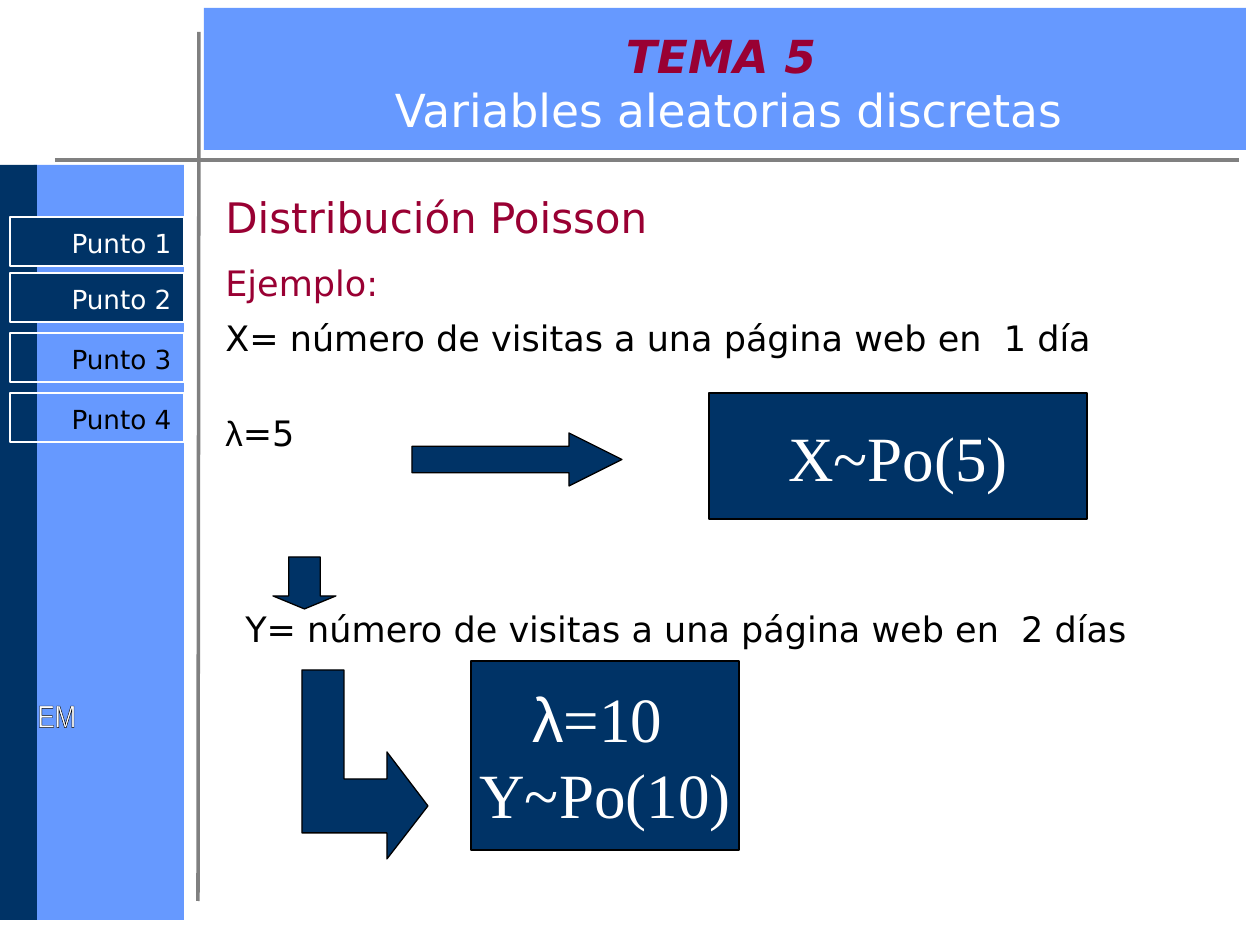
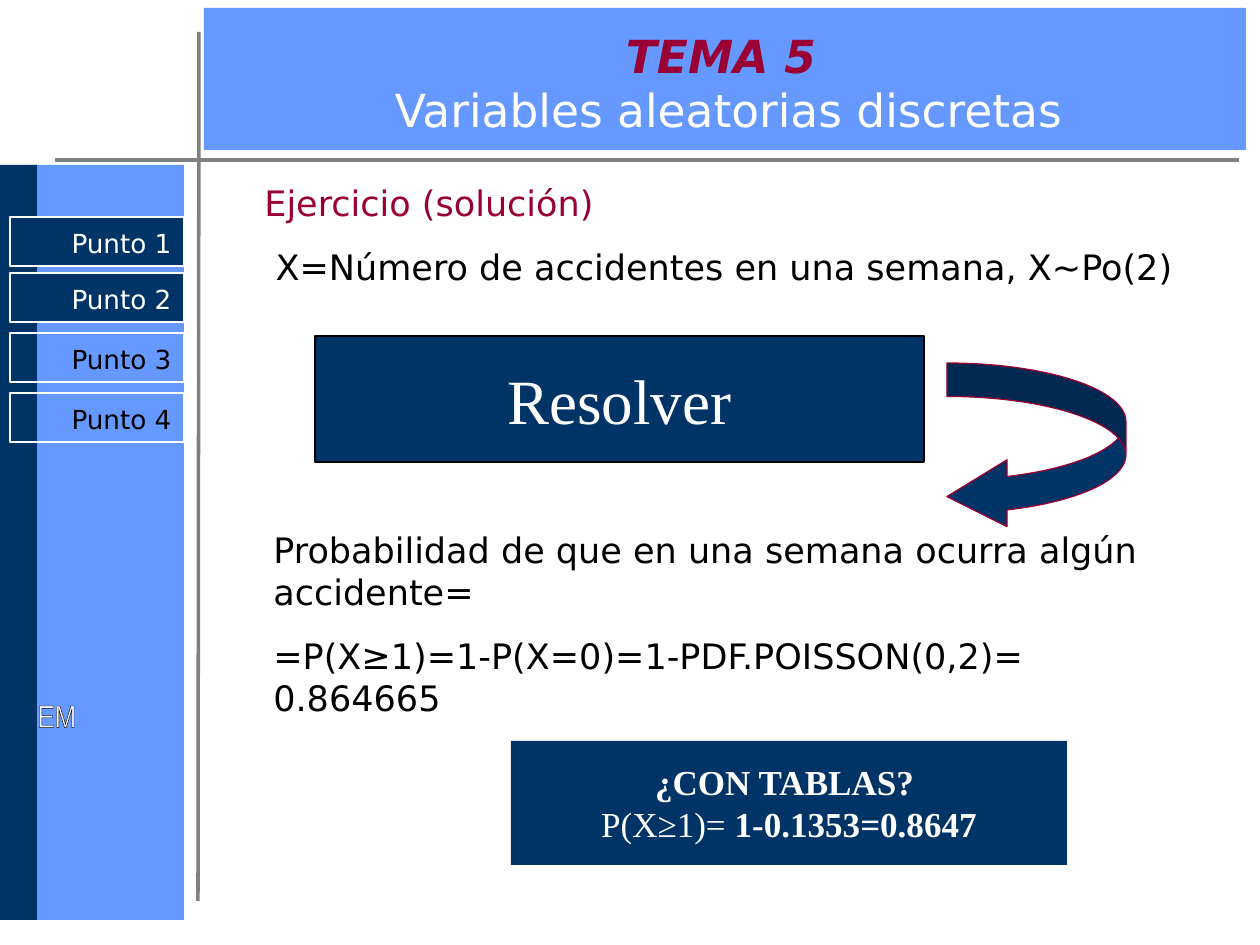
"""Build two slides on the Poisson distribution that share one frame."""
from lxml import etree
from pptx import Presentation
from pptx import util as u
from pptx.dml import color
from pptx.enum import shapes, text
from pptx.oxml import ns

PX = 914400 / 126
NAVY, SKY, WINE, GRAY = "003366", "6699FF", "990033", "808080"
WHITE, BLACK = "FFFFFF", "000000"
SANS, SERIF, GREEK = "DejaVu Sans", "Times New Roman", "Arial"
KIND = shapes.MSO_SHAPE
LEFT, MID, RIGHT = text.PP_ALIGN.LEFT, text.PP_ALIGN.CENTER, text.PP_ALIGN.RIGHT
TOP, CORE = text.MSO_ANCHOR.TOP, text.MSO_ANCHOR.MIDDLE


def style(name, size, ink, **more):
    return dict(name=name, size=u.Pt(size), ink=ink, **more)


BODY = style(SANS, 20, BLACK)
LEAD = style(SANS, 20, WINE)
HEAD = style(SANS, 24, WINE)
BIG = style(SERIF, 36, WHITE)
NOTE = style(SERIF, 20, WHITE)
BOLD = dict(NOTE, bold=True)
THEME = style(SANS, 26, WINE, bold=True, italic=True)
TITLE = style(SANS, 26, WHITE)
MARK = style("Arial Narrow", 18, WHITE)

BANDS = [((34, 165, 150, 755), SKY), ((0, 165, 37, 755), NAVY),
         ((204, 8, 1042, 142), SKY)]
RULES = [(55, 160, 1239, 160), (198, 901, 199, 32)]
MENU = [("Punto 1", 217, NAVY, WHITE), ("Punto 2", 273, NAVY, WHITE),
        ("Punto 3", 333, None, BLACK), ("Punto 4", 393, None, BLACK)]
NAME = [[("TEMA 5 ", THEME)], [("Variables aleatorias discretas", TITLE)]]

DECK = [
    dict(
        texts=[
            ((213, 185, 882, 63), [[("Distribución Poisson", HEAD)]], {}),
            ((213, 255, 993, 200), [
                [("Ejemplo:", LEAD)],
                [("X= número de visitas a una página web en  1 día", BODY)],
                [("λ", dict(BODY, name=GREEK)), ("=5", BODY)],
            ], {1: dict(line_spacing=0.8), 2: dict(space_before=u.Pt(30))}),
            ((233, 601, 984, 55),
             [[("Y= número de visitas a una página web en  2 días", BODY)]], {}),
        ],
        boxes=[
            ((709, 393, 378, 126), BLACK, [[("X~Po(5)", BIG)]]),
            ((471, 661, 268, 189), BLACK,
             [[("λ", dict(BIG, name=GREEK)), ("=10 ", BIG)], [("Y~Po(10)", BIG)]]),
        ],
        arrows=[
            (KIND.RIGHT_ARROW, (412, 433, 210, 53), BLACK, (0.5, 1)),
            (KIND.DOWN_ARROW, (273, 557, 63, 52), BLACK, (0.5, 0.25)),
        ],
        bends=[[(428, 806), (387, 752), (387, 779), (344, 779), (344, 670),
                (302, 670), (302, 833), (387, 833), (387, 859)]],
    ),
    dict(
        texts=[
            ((252, 175, 954, 183), [
                [("Ejercicio (solución)", LEAD)],
                [(" X=Número de accidentes en una semana, X~Po(2)", BODY)],
            ], {}),
            ((261, 522, 945, 314), [
                [("Probabilidad de que en una semana ocurra algún accidente=", BODY)],
                [("=P(X≥1)=1-P(X=0)=1-PDF.POISSON(0,2)= 0.864665", BODY)],
            ], {}),
        ],
        boxes=[
            ((315, 336, 609, 126), BLACK, [[("Resolver", BIG)]]),
            ((511, 741, 556, 124), None,
             [[("¿CON TABLAS? ", BOLD)],
              [("P(X≥1)= ", NOTE), ("1-0.1353=0.8647", BOLD)]]),
        ],
        arrows=[(KIND.CURVED_LEFT_ARROW, (947, 363, 179, 167), WINE,
                 (0.2, 0.4, 0.36))],
        bends=[],
    ),
]


def emu(*nums):
    return [u.Emu(round(n * PX)) for n in nums]


def rgb(code):
    return color.RGBColor.from_string(code)


def paint(shape, fill, line):
    shape.shadow.inherit = False
    for part, code in ((shape.fill, fill), (shape.line.fill, line)):
        if code:
            part.solid()
            part.fore_color.rgb = rgb(code)
        else:
            part.background()
    if line:
        shape.line.width = u.Pt(0.75)
    return shape


def draw(slide, kind, box, fill, line=None, adjust=()):
    shape = slide.shapes.add_shape(kind, *emu(*box))
    for i, val in enumerate(adjust):
        shape.adjustments[i] = val
    return paint(shape, fill, line)


def write(shape, paras, align=LEFT, anchor=TOP, wrap=True, gap=0, extra={}):
    frame = shape.text_frame
    frame.word_wrap, frame.vertical_anchor = wrap, anchor
    for i, runs in enumerate(paras):
        para = frame.add_paragraph() if i else frame.paragraphs[0]
        form = dict(alignment=align, space_before=u.Pt(gap))
        for key, val in {**form, **extra.get(i, {})}.items():
            setattr(para, key, val)
        for words, look in runs:
            run = para.add_run()
            run.text = words
            for key, val in look.items():
                if key == "ink":
                    run.font.color.rgb = rgb(val)
                else:
                    setattr(run.font, key, val)
    return frame


def label(slide, box, paras, **form):
    return write(slide.shapes.add_textbox(*emu(*box)), paras, **form)


def rule(slide, ends):
    line = slide.shapes.add_connector(shapes.MSO_CONNECTOR.STRAIGHT, *emu(*ends))
    line.line.color.rgb = rgb(GRAY)
    line.line.width = u.Pt(2)
    etree.SubElement(line._element.spPr, ns.qn("a:effectLst"))


def outline(run):
    line = etree.Element(ns.qn("a:ln"), w="9525")
    fill = etree.SubElement(line, ns.qn("a:solidFill"))
    etree.SubElement(fill, ns.qn("a:srgbClr"), val=BLACK)
    run.font._element.insert(0, line)


def base(slide):
    for box, fill in BANDS:
        draw(slide, KIND.RECTANGLE, box, fill)
    for ends in RULES:
        rule(slide, ends)
    for words, top, fill, ink in MENU:
        item = draw(slide, KIND.RECTANGLE, (10, top, 174, 49), fill, WHITE)
        frame = write(item, [[(words, style(SANS, 15, ink))]], align=RIGHT)
        frame.margin_top = emu(10)[0]
    mark = label(slide, (25, 690, 231, 229), [[("EM", MARK)]], wrap=False)
    outline(mark.paragraphs[0].runs[0])
    label(slide, (215, 34, 1028, 97), NAME, align=MID, anchor=CORE)


def build(slide, page):
    base(slide)
    for box, paras, extra in page["texts"]:
        label(slide, box, paras, gap=12.5, extra=extra)
    for box, line, paras in page["boxes"]:
        shape = draw(slide, KIND.RECTANGLE, box, NAVY, line)
        write(shape, paras, align=MID, anchor=CORE, wrap=False)
    for kind, box, line, adjust in page["arrows"]:
        draw(slide, kind, box, NAVY, line, adjust)
    for dots in page["bends"]:
        pen = slide.shapes.build_freeform(*dots[0], scale=PX)
        pen.add_line_segments(dots[1:], close=True)
        paint(pen.convert_to_shape(), NAVY, BLACK)


def main():
    deck = Presentation()
    deck.slide_width, deck.slide_height = emu(1260, 945)
    for page in DECK:
        build(deck.slides.add_slide(deck.slide_layouts[6]), page)
    deck.save("out.pptx")


if __name__ == "__main__":
    main()
